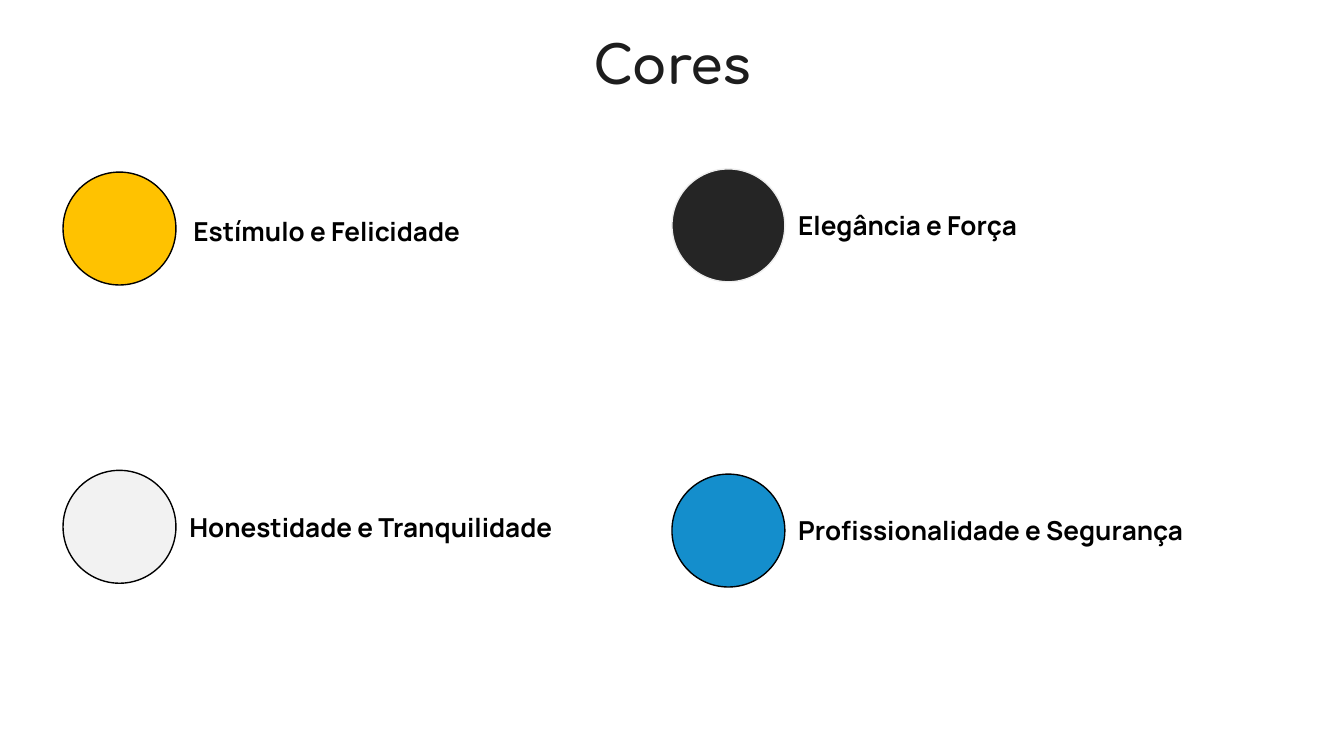
from dataclasses import dataclass

from pptx import Presentation
from pptx.dml.color import RGBColor
from pptx.enum.shapes import MSO_SHAPE as Shape
from pptx.enum.text import MSO_ANCHOR as Anchor, MSO_AUTO_SIZE as AutoSize, PP_ALIGN as Align
from pptx.util import Pt

COLORS = {
    "title": "1D1D1D",
    "black": "000000",
    "yellow": "FFC200",
    "light": "F2F2F2",
    "blue": "148ECC",
    "dark": "252525",
    "pale": "EEEEEE",
}
DIAMETER = 60.5
LABEL_WIDTH, LABEL_HEIGHT = 250.5, 31.5
LEFT_COLUMN, RIGHT_COLUMN = 33.8, 360


@dataclass(frozen=True)
class Swatch:
    meaning: str
    fill: str
    left: float
    top: float
    label_left: float
    label_top: float
    outline: str = "black"


SWATCHES = [
    Swatch("Estímulo e Felicidade", "yellow", LEFT_COLUMN, 92.2, 96.5, 108),
    Swatch("Honestidade e Tranquilidade", "light", LEFT_COLUMN, 252, 94.3, 266.5),
    Swatch("Profissionalidade e Segurança", "blue", RIGHT_COLUMN, 254, 420.5, 268.5),
    Swatch("Elegância e Força", "dark", RIGHT_COLUMN, 90.5, 420.5, 105, "pale"),
]


def color(name: str) -> RGBColor:
    return RGBColor.from_string(COLORS[name])


def write(box, text: str, align: Align, ink: str, font: dict) -> None:
    """Fill a text box or placeholder with one formatted line."""
    frame = box.text_frame
    frame_format = {
        "word_wrap": True,
        "auto_size": AutoSize.NONE,
        "vertical_anchor": Anchor.TOP,
        **{f"margin_{side}": Pt(7.2) for side in ("left", "top", "right", "bottom")},
    }
    for name, value in frame_format.items():
        setattr(frame, name, value)
    para = frame.paragraphs[0]
    para.alignment = align
    para.line_spacing = 1.0
    para.space_before = Pt(0)
    span = para.add_run()
    span.text = text
    for name, value in font.items():
        setattr(span.font, name, value)
    span.font.color.rgb = color(ink)


def add_title(page, text: str) -> None:
    title = page.shapes.title
    place = {"left": 255, "top": 10, "width": 210, "height": 65.5}
    for name, value in place.items():
        setattr(title, name, Pt(value))
    write(title, text, Align.CENTER, "title",
          {"name": "Comfortaa", "size": Pt(28), "bold": True})


def add_swatch(page, swatch: Swatch) -> None:
    circle = page.shapes.add_shape(
        Shape.OVAL, Pt(swatch.left), Pt(swatch.top), Pt(DIAMETER), Pt(DIAMETER))
    circle.shadow.inherit = False
    circle.fill.solid()
    circle.fill.fore_color.rgb = color(swatch.fill)
    circle.line.color.rgb = color(swatch.outline)
    circle.line.width = Pt(0.75)
    label = page.shapes.add_textbox(
        Pt(swatch.label_left), Pt(swatch.label_top), Pt(LABEL_WIDTH), Pt(LABEL_HEIGHT))
    write(label, swatch.meaning, Align.LEFT, "black",
          {"name": "Manrope", "size": Pt(14), "bold": True})


def main() -> None:
    deck = Presentation()
    deck.slide_width, deck.slide_height = Pt(720), Pt(405)
    page = deck.slides.add_slide(deck.slide_layouts[5])
    add_title(page, "Cores")
    for swatch in SWATCHES:
        add_swatch(page, swatch)
    deck.save("out.pptx")


if __name__ == "__main__":
    main()
